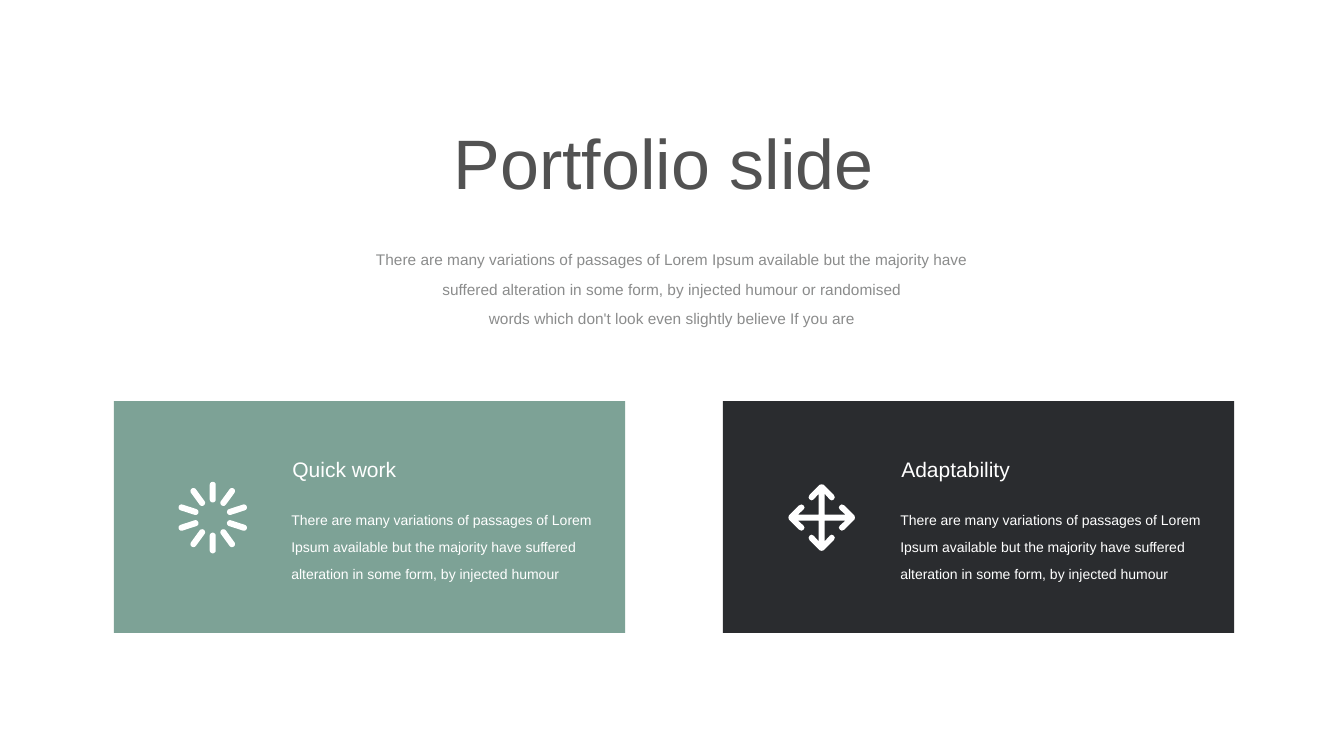
"""Build the portfolio slide with two feature cards."""
import math

import pptx
import pptx.dml.color
import pptx.enum.shapes
import pptx.enum.text
import pptx.util

Inches = pptx.util.Inches
ANCHOR = pptx.enum.text.MSO_ANCHOR
ALIGN = pptx.enum.text.PP_ALIGN

COLORS = {
    "title": "525252",
    "intro": "8B8C8C",
    "green": "7DA296",
    "dark": "2A2C2F",
    "white": "FFFFFF",
}
INTRO = [
    "There are many variations of passages of Lorem Ipsum available but the majority have",
    "suffered alteration in some form, by injected humour or randomised",
    "words which don't look even slightly believe If you are",
]
CARD_TEXT = [
    "There are many variations of passages of Lorem",
    "Ipsum available but the majority have suffered",
    "alteration in some form, by injected humour",
]


def rotate(points, degrees):
    angle = math.radians(degrees)
    cosine, sine = math.cos(angle), math.sin(angle)
    return [(x * cosine - y * sine, x * sine + y * cosine) for x, y in points]


def spinner_outlines():
    radius, inner, outer = 0.03, 0.18, 0.325
    spoke = []
    for center, first in ((-outer, 180), (-inner, 0)):
        for step in range(0, 181, 20):
            angle = math.radians(first + step)
            spoke.append((radius * math.cos(angle), center + radius * math.sin(angle)))
    return [rotate(spoke, 36 * index) for index in range(10)]


def arrows_outlines():
    right_half = [
        (0, -0.33), (0.02, -0.325), (0.12, -0.225), (0.13, -0.2), (0.12, -0.18),
        (0.1, -0.17), (0.08, -0.18), (0.03, -0.235), (0.03, -0.03),
    ]
    left_half = [(-x, y) for x, y in reversed(right_half[1:])]
    arm = left_half + right_half
    return [[point for turn in range(4) for point in rotate(arm, 90 * turn)]]


class SlideBuilder:
    def __init__(self, page, font="Arial"):
        self.page = page
        self.font = font

    def paint(self, shape, color):
        shape.shadow.inherit = False
        shape.fill.solid()
        shape.fill.fore_color.rgb = pptx.dml.color.RGBColor.from_string(COLORS[color])
        shape.line.fill.background()

    def panel(self, left, top, width, height, color):
        kind = pptx.enum.shapes.MSO_SHAPE.RECTANGLE
        panel = self.page.shapes.add_shape(
            kind, Inches(left), Inches(top), Inches(width), Inches(height))
        self.paint(panel, color)

    def icon(self, center_x, center_y, outlines, color="white"):
        contours = [[(Inches(center_x + x), Inches(center_y + y)) for x, y in outline]
                    for outline in outlines]
        builder = self.page.shapes.build_freeform(*contours[0][0])
        for index, contour in enumerate(contours):
            if index:
                builder.move_to(*contour[0])
            builder.add_line_segments(contour[1:], close=True)
        self.paint(builder.convert_to_shape(), color)

    def text(self, lines, left, top, width, height, size, color="white",
             align=ALIGN.LEFT, anchor=ANCHOR.TOP, spacing=None, inset=0.03, wrap=False):
        box = self.page.shapes.add_textbox(
            Inches(left), Inches(top), Inches(width), Inches(height))
        frame = box.text_frame
        frame.word_wrap = wrap
        if not wrap:
            frame.auto_size = pptx.enum.text.MSO_AUTO_SIZE.SHAPE_TO_FIT_TEXT
        frame.vertical_anchor = anchor
        frame.margin_left = frame.margin_right = Inches(inset)
        frame.margin_top = frame.margin_bottom = Inches(min(inset, 0.05))
        for index, line in enumerate(lines):
            para = frame.add_paragraph() if index else frame.paragraphs[0]
            para.alignment = align
            if spacing:
                para.line_spacing = spacing
            span = para.add_run()
            span.text = line
            span.font.name = self.font
            span.font.size = pptx.util.Pt(size)
            span.font.color.rgb = pptx.dml.color.RGBColor.from_string(COLORS[color])

    def card(self, left, color, heading, heading_width, outlines):
        self.panel(left, 3.98, 5.07, 2.3, color)
        self.icon(left + 0.98, 5.135, outlines)
        self.text([heading], left + 1.74, 4.5, heading_width, 0.31, 15)
        self.text(CARD_TEXT, left + 1.73, 4.96, 3.06, 0.83, 10,
                  anchor=ANCHOR.MIDDLE, spacing=1.6)


def main():
    deck = pptx.Presentation()
    deck.slide_width, deck.slide_height = Inches(13.33), Inches(7.5)
    builder = SlideBuilder(deck.slides.add_slide(deck.slide_layouts[6]))
    builder.text(["Portfolio slide"], 4.4, 1.14, 7.21, 1.09, 50, "title",
                 inset=0.1, wrap=True)
    builder.text(INTRO, 3.69, 2.36, 5.95, 0.91, 11, "intro",
                 align=ALIGN.CENTER, anchor=ANCHOR.MIDDLE, spacing=1.6)
    builder.card(1.13, "green", "Quick work", 1.1, spinner_outlines())
    builder.card(7.17, "dark", "Adaptability", 1.15, arrows_outlines())
    deck.save("out.pptx")


if __name__ == "__main__":
    main()
